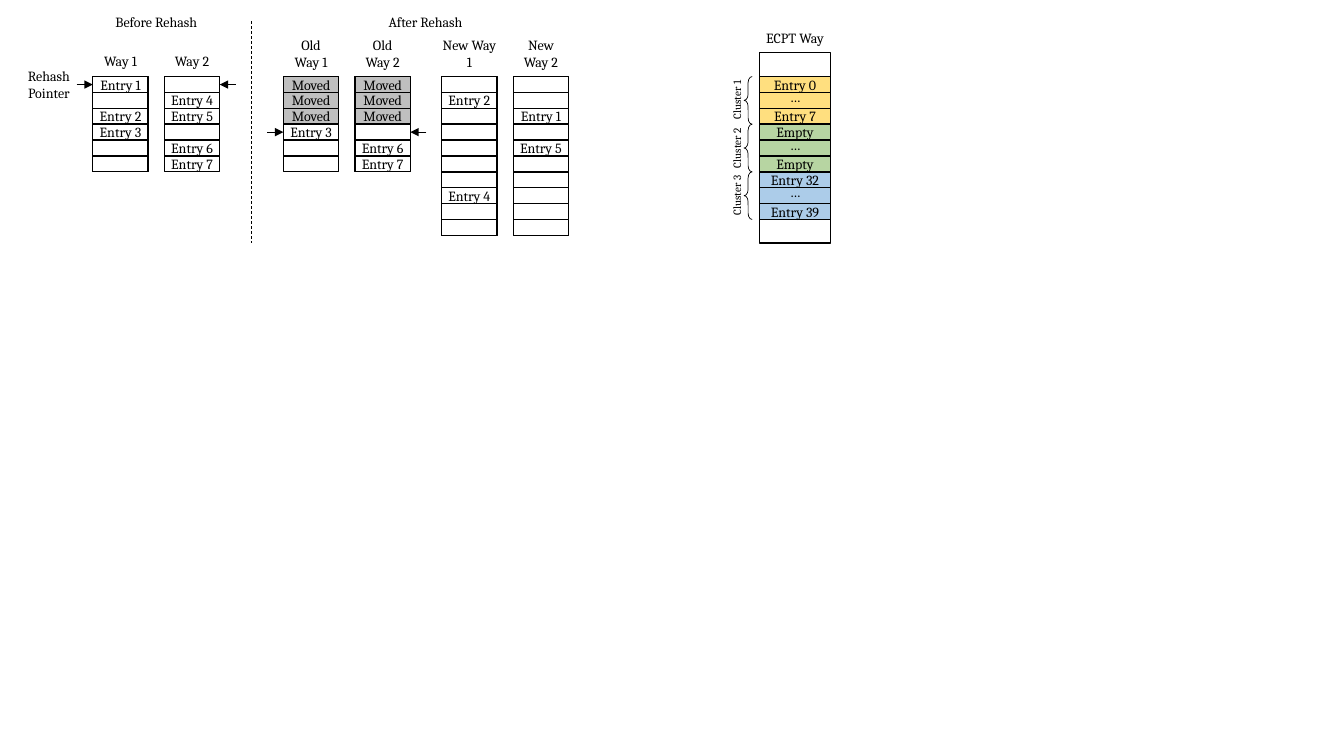
from dataclasses import dataclass

from pptx import Presentation
from pptx.dml.color import RGBColor
from pptx.enum.dml import MSO_LINE
from pptx.enum.shapes import MSO_CONNECTOR, MSO_SHAPE
from pptx.enum.text import MSO_ANCHOR, MSO_AUTO_SIZE, PP_ALIGN
from pptx.oxml.ns import qn
from pptx.util import Inches, Pt
from lxml.etree import SubElement


@dataclass(frozen=True)
class Theme:
    font: str = "Cambria"
    body: float = 10
    small: float = 8
    thick: float = 1
    thin: float = 0.5
    black: str = "000000"
    white: str = "FFFFFF"
    moved: str = "BFBFBF"
    gold: str = "FFC000"
    green: str = "70AD47"
    blue: str = "5B9BD5"


@dataclass(frozen=True)
class Way:
    title: str
    left: float
    entries: tuple[str, ...]


@dataclass(frozen=True)
class Cluster:
    first: str
    last: str
    color: str


@dataclass(frozen=True)
class Pointer:
    tail: float
    head: float
    row: int


THEME = Theme()
TOP, ROW = 0.76, 0.63 / 4
WAY_W, LINE_H, ARROW = 0.55, 0.17, 0.16
ECPT_LEFT, ECPT_W = 7.53, 0.71

WAYS = (
    Way("Way 1", 0.92, ("Entry 1", "", "Entry 2", "Entry 3", "", "")),
    Way("Way 2", 1.63, ("", "Entry 4", "Entry 5", "", "Entry 6", "Entry 7")),
    Way("Old\nWay 1", 2.81, ("Moved",) * 3 + ("Entry 3", "", "")),
    Way("Old\nWay 2", 3.52, ("Moved",) * 3 + ("", "Entry 6", "Entry 7")),
    Way("New Way 1", 4.38, ("", "Entry 2", "", "", "", "", "", "Entry 4", "", "")),
    Way("New\nWay 2", 5.09, ("", "", "Entry 1", "", "Entry 5", "", "", "", "", "")),
)
CLUSTERS = (
    Cluster("Entry 0", "Entry 7", THEME.gold),
    Cluster("Empty", "Empty", THEME.green),
    Cluster("Entry 32", "Entry 39", THEME.blue),
)
POINTERS = (
    Pointer(0.92 - ARROW, 0.92, 0),
    Pointer(2.18 + ARROW, 2.18, 0),
    Pointer(2.81 - ARROW, 2.81, 3),
    Pointer(4.07 + ARROW, 4.07, 3),
)


def apply(target: object, values: dict) -> None:
    for name, value in values.items():
        setattr(target, name, value)


def rgb(color: str) -> RGBColor:
    return RGBColor.from_string(color)


def write(tf, text: str, size: float = THEME.body) -> None:
    apply(tf, {"margin_left": 0, "margin_right": 0, "margin_top": 0,
               "margin_bottom": 0, "word_wrap": True})
    for i, line in enumerate(text.split("\n")):
        p = tf.add_paragraph() if i else tf.paragraphs[0]
        p.alignment = PP_ALIGN.CENTER
        r = p.add_run()
        r.text = line
        apply(r.font, {"name": THEME.font, "size": Pt(size)})
        r.font.color.rgb = rgb(THEME.black)


def add_label(s, text: str, x: float, y: float, w: float, h: float = LINE_H,
              size: float = THEME.body, rotation: float = 0) -> None:
    tb = s.shapes.add_textbox(Inches(x), Inches(y), Inches(w), Inches(h))
    tb.rotation = rotation
    write(tb.text_frame, text, size)
    tb.text_frame.auto_size = MSO_AUTO_SIZE.SHAPE_TO_FIT_TEXT


def add_box(s, x: float, y: float, w: float, h: float, text: str = "",
            fill: str = THEME.white, alpha: int = 100) -> None:
    sp = s.shapes.add_shape(MSO_SHAPE.RECTANGLE, Inches(x), Inches(y), Inches(w), Inches(h))
    sp.shadow.inherit = False
    sp.fill.solid()
    sp.fill.fore_color.rgb = rgb(fill)
    if alpha < 100:
        color = sp.fill._xPr.find(qn("a:solidFill")).find(qn("a:srgbClr"))
        SubElement(color, qn("a:alpha")).set("val", str(alpha * 1000))
    sp.line.color.rgb = rgb(THEME.black)
    sp.line.width = Pt(THEME.thick)
    if text:
        write(sp.text_frame, text)
        sp.text_frame.vertical_anchor = MSO_ANCHOR.MIDDLE


def add_line(s, x1: float, y1: float, x2: float, y2: float, arrow: bool) -> None:
    cn = s.shapes.add_connector(MSO_CONNECTOR.STRAIGHT, Inches(x1), Inches(y1),
                                Inches(x2), Inches(y2))
    cn.line.color.rgb = rgb(THEME.black)
    cn.line.width = Pt(THEME.thin)
    if arrow:
        SubElement(cn.line._get_or_add_ln(), qn("a:tailEnd")).set("type", "triangle")
    else:
        cn.line.dash_style = MSO_LINE.DASH
    SubElement(cn._element.spPr, qn("a:effectLst"))


def add_brace(s, x: float, y: float, w: float, h: float) -> None:
    sp = s.shapes.add_shape(MSO_SHAPE.LEFT_BRACE, Inches(x), Inches(y), Inches(w), Inches(h))
    sp.shadow.inherit = False
    sp.adjustments[0] = 0.75
    sp.fill.background()
    sp.line.color.rgb = rgb(THEME.black)
    sp.line.width = Pt(THEME.thin)


def add_way(s, way: Way) -> None:
    add_box(s, way.left, TOP, WAY_W, ROW * len(way.entries))
    for i, entry in enumerate(way.entries):
        fill = THEME.moved if entry == "Moved" else THEME.white
        add_box(s, way.left, TOP + i * ROW, WAY_W, ROW, entry, fill)
    if way.title.startswith("Way"):
        add_label(s, way.title, way.left, 0.52, WAY_W)
    else:
        add_label(s, way.title, way.left, 0.36, WAY_W, 2 * LINE_H)


def add_cluster(s, number: int, cluster: Cluster) -> None:
    y = TOP + (number - 1) * 3 * ROW
    for i, text in enumerate((cluster.first, "", cluster.last)):
        add_box(s, ECPT_LEFT, y + i * ROW, ECPT_W, ROW, text, cluster.color, 50)
    add_label(s, "…", ECPT_LEFT + 0.08, y + 0.12, WAY_W)
    add_brace(s, 7.38, y, 0.08, 3 * ROW)
    add_label(s, f"Cluster {number}", 6.99, y + 0.17, 0.63, 0.13, THEME.small, 270)


def main() -> None:
    prs = Presentation()
    apply(prs, {"slide_width": Inches(13.33), "slide_height": Inches(7.5)})
    s = prs.slides.add_slide(prs.slide_layouts[6])

    add_label(s, "Before Rehash", 1, 0.13, 1.1)
    add_label(s, "After Rehash", 3.67, 0.13, 1.1)
    add_label(s, "Rehash\nPointer", 0.21, 0.67, WAY_W, 2 * LINE_H)
    add_line(s, 2.49, 0.21, 2.49, 2.41, False)
    for way in WAYS:
        add_way(s, way)
    for pointer in POINTERS:
        y = TOP + (pointer.row + 0.5) * ROW
        add_line(s, pointer.tail, y, pointer.head, y, True)

    add_label(s, "ECPT Way", ECPT_LEFT, 0.29, ECPT_W)
    add_box(s, ECPT_LEFT, 0.52, ECPT_W, 12 * ROW)
    for number, cluster in enumerate(CLUSTERS, 1):
        add_cluster(s, number, cluster)

    prs.save("out.pptx")


if __name__ == "__main__":
    main()
